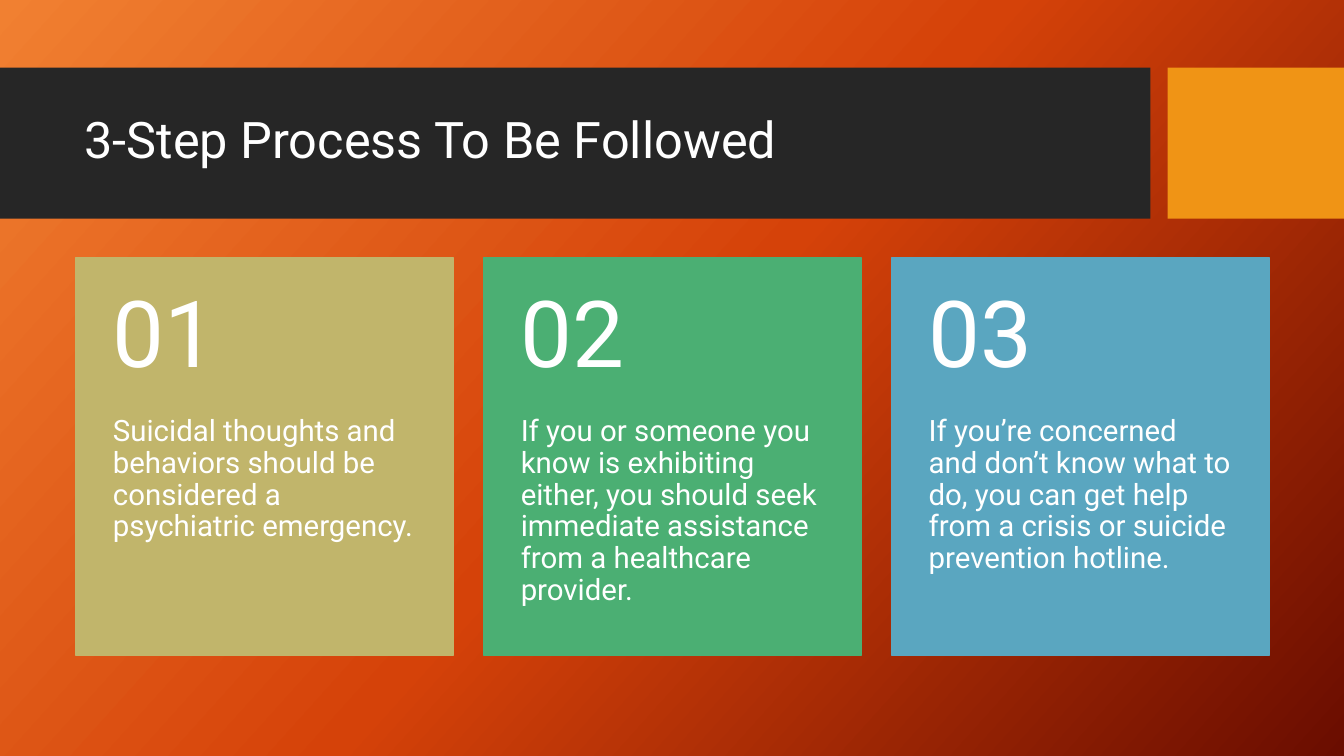
from copy import deepcopy

from pptx import Presentation
from pptx.dml.color import RGBColor
from pptx.enum.shapes import MSO_SHAPE
from pptx.enum.text import MSO_ANCHOR
from pptx.oxml.ns import qn
from pptx.util import Inches, Pt

# Content
TITLE = "3-Step Process To Be Followed"
STEPS = [
    ("01", "Suicidal thoughts and behaviors should be considered a psychiatric emergency.",
     RGBColor(0xC1, 0xB5, 0x6B)),
    ("02", "If you or someone you know is exhibiting either, you should seek "
           "immediate assistance from a healthcare provider.",
     RGBColor(0x4B, 0xAF, 0x73)),
    ("03", "If you’re concerned and don’t know what to do, you can get help "
           "from a crisis or suicide prevention hotline.",
     RGBColor(0x5A, 0xA6, 0xC0)),
]

# Style
FONT = "Roboto"
WHITE = RGBColor(0xFF, 0xFF, 0xFF)
CHARCOAL = RGBColor(0x26, 0x26, 0x26)
AMBER = RGBColor(0xF0, 0x94, 0x15)
BACKGROUND = [
    (0, RGBColor(0xF1, 0x80, 0x31)),
    (0.5, RGBColor(0xD5, 0x42, 0x09)),
    (1, RGBColor(0x6A, 0x0D, 0x00)),
]

# Layout, in inches
BAND_TOP, BAND_H = 0.67, 1.5
CARD_LEFT, CARD_RIGHT, CARD_TOP = 0.75, 12.59, 2.56
CARD_W, CARD_H, NUMBER_H = 3.75, 3.94, 1.57
PITCH = (CARD_RIGHT - CARD_LEFT - CARD_W) / (len(STEPS) - 1)


def add_block(s, x, y, w, h, color, outlined=False):
    sp = s.shapes.add_shape(MSO_SHAPE.RECTANGLE, Inches(x), Inches(y), Inches(w), Inches(h))
    sp.shadow.inherit = False
    sp.fill.solid()
    sp.fill.fore_color.rgb = color
    if outlined:
        sp.line.color.rgb = color
        sp.line.width = Pt(1)
    else:
        sp.line.fill.background()


def add_text(s, x, y, w, h, text, size, anchor, insets):
    tf = s.shapes.add_textbox(Inches(x), Inches(y), Inches(w), Inches(h)).text_frame
    tf.word_wrap = True
    tf.vertical_anchor = anchor
    tf.margin_left, tf.margin_top, tf.margin_right, tf.margin_bottom = map(Inches, insets)
    p = tf.paragraphs[0]
    p.line_spacing = 0.9
    r = p.add_run()
    r.text = text
    r.font.size = Pt(size)
    r.font.name = FONT
    r.font.color.rgb = WHITE


prs = Presentation()
prs.slide_width, prs.slide_height = Inches(13.33), Inches(7.5)
s = prs.slides.add_slide(prs.slide_layouts[6])

# Background gradient: a third stop joins the two default ones
fill = s.background.fill
fill.gradient()
fill.gradient_angle = 360 - 42
stop_list = next(s.element.iter(qn("a:gsLst")))
stop_list.append(deepcopy(stop_list[0]))
for stop, (position, color) in zip(fill.gradient_stops, BACKGROUND):
    stop.position = position
    stop.color.rgb = color

# Title band
add_block(s, 0, BAND_TOP, 11.41, BAND_H, CHARCOAL)
add_block(s, 11.58, BAND_TOP, 1.75, BAND_H, AMBER)
add_text(s, 0.74, 0.82, 10.51, 1.18, TITLE, 36, MSO_ANCHOR.MIDDLE, (0.1, 0.05, 0.1, 0.05))

# Step cards
for i, (number, text, color) in enumerate(STEPS):
    x = CARD_LEFT + i * PITCH
    add_block(s, x, CARD_TOP, CARD_W, CARD_H, color, outlined=True)
    add_text(s, x, CARD_TOP + NUMBER_H, CARD_W, CARD_H - NUMBER_H, text, 21,
             MSO_ANCHOR.TOP, (0.37, 0, 0.37, 0.36))
    add_text(s, x, CARD_TOP, CARD_W, NUMBER_H, number, 66,
             MSO_ANCHOR.MIDDLE, (0.37, 0.18, 0.37, 0.18))

prs.save("out.pptx")
